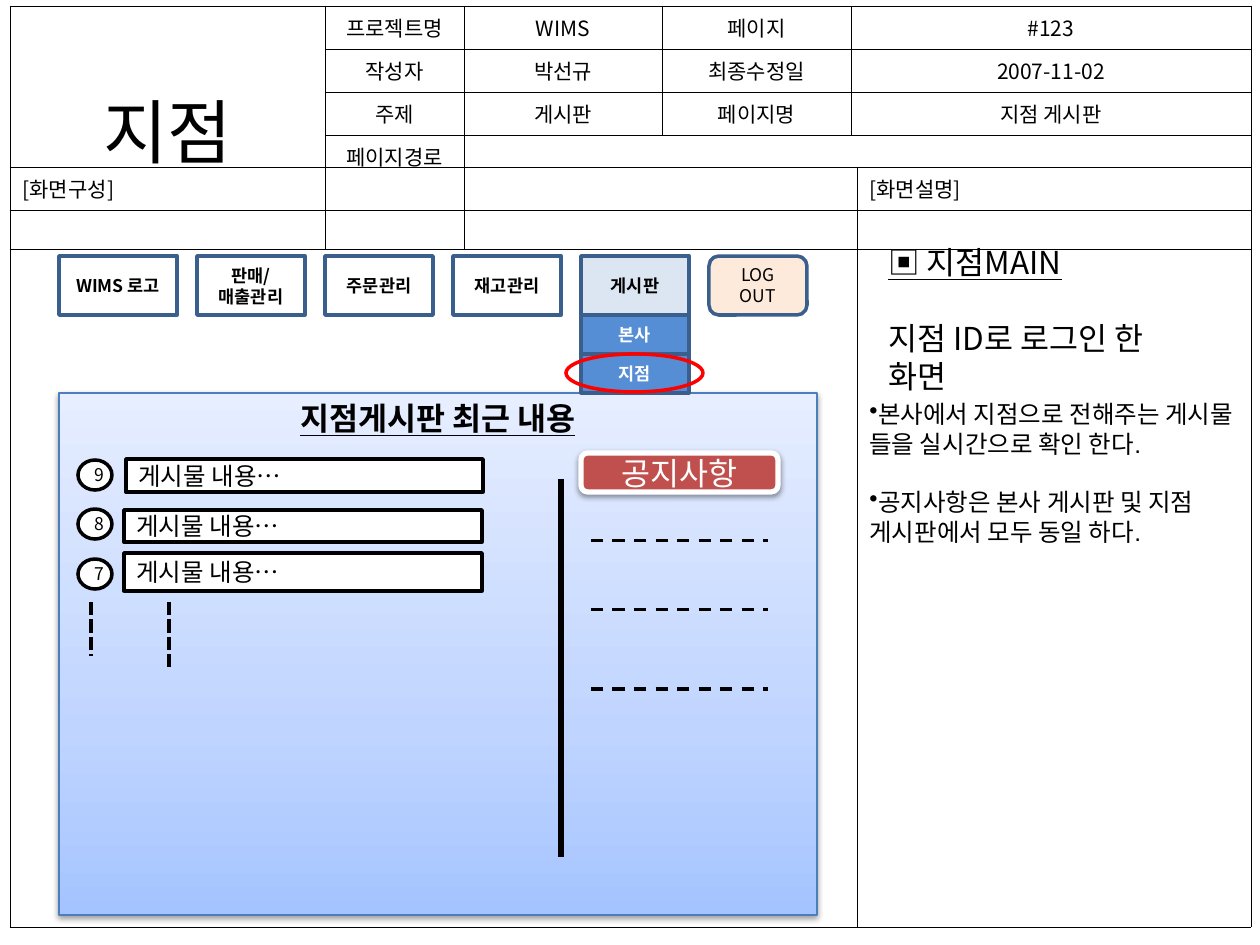
from lxml import etree
from pptx import Presentation
from pptx import util as u
from pptx.dml.color import RGBColor
from pptx.enum import dml, shapes, text
from pptx.oxml import parse_xml
from pptx.oxml.ns import nsdecls, qn

PX = 914400 / 126
CJK = "Noto Sans CJK KR"
C = {"black": "000000", "white": "FFFFFF", "navy": "3A5F8C", "blue": "558ED5",
     "pale": "DCE6F2", "peach": "FDEADA", "brick": "C0504D", "red": "FF0000",
     "edge": "4B7EBC"}
PANEL_STOPS = [(0, "A4C4FF"), (35, "BFD4FF"), (100, "E6EEFF")]
KIND = shapes.MSO_SHAPE
CENTER, LEFT = text.PP_ALIGN.CENTER, text.PP_ALIGN.LEFT
MIDDLE, TOP = text.MSO_ANCHOR.MIDDLE, text.MSO_ANCHOR.TOP


def emu(*px):
    return [u.Emu(round(v * PX)) for v in px]


def rgb(name):
    return RGBColor.from_string(C[name])


def add_run(p, words, size, color="black", font=CJK, bold=False, underline=False):
    r = p.add_run()
    r.text = words
    f = r.font
    f.size, f.name, f.bold, f.underline = u.Pt(size), font, bold, underline
    f.color.rgb = rgb(color)
    etree.SubElement(r._r.get_or_add_rPr(), qn("a:ea")).set("typeface", CJK)


def write(tf, lines, size, align=CENTER, **style):
    """One paragraph for each line of words."""
    for i, words in enumerate(lines):
        p = tf.paragraphs[0] if i == 0 else tf.add_paragraph()
        p.alignment = align
        add_run(p, words, size, **style)


def add_box(s, kind, box, fill, line, width, lines=(), size=10, anchor=MIDDLE, **style):
    sp = s.shapes.add_shape(kind, *emu(*box))
    sp.shadow.inherit = False
    if fill:
        sp.fill.solid()
        sp.fill.fore_color.rgb = rgb(fill)
    else:
        sp.fill.background()
    sp.line.color.rgb = rgb(line)
    sp.line.width = u.Pt(width)
    tf = sp.text_frame
    tf.word_wrap, tf.vertical_anchor = True, anchor
    write(tf, lines, size, **style)
    return sp


def cast_shadow(sp):
    effects = sp._element.spPr.find(qn("a:effectLst"))
    effects.append(parse_xml(
        f'<a:outerShdw {nsdecls("a")} blurRad="{u.Pt(3.1)}" dist="{u.Pt(1.6)}" '
        'dir="5400000" rotWithShape="0"><a:srgbClr val="000000">'
        '<a:alpha val="38000"/></a:srgbClr></a:outerShdw>'))


def fill_gradient(sp, stops):
    """Bottom-to-top gradient in place of the solid fill."""
    spPr = sp._element.spPr
    gs = "".join(f'<a:gs pos="{pos * 1000}"><a:srgbClr val="{color}"/></a:gs>'
                 for pos, color in stops)
    spPr.replace(spPr.find(qn("a:solidFill")), parse_xml(
        f'<a:gradFill {nsdecls("a")} rotWithShape="1"><a:gsLst>{gs}</a:gsLst>'
        '<a:lin ang="16200000" scaled="0"/></a:gradFill>'))


def add_line(s, x1, y1, x2, y2, width, dash=None):
    cn = s.shapes.add_connector(shapes.MSO_CONNECTOR.STRAIGHT, *emu(x1, y1, x2, y2))
    cn.line.color.rgb = rgb("black")
    cn.line.width = u.Pt(width)
    if dash:
        cn.line.dash_style = dash
    etree.SubElement(cn._element.spPr, qn("a:effectLst"))


def add_grid(s, left, top, cols, rows):
    """Unfilled table with thin black borders."""
    frame = s.shapes.add_table(len(rows), len(cols),
                               *emu(left, top, sum(cols), sum(rows)))
    table = frame.table
    table.first_row = table.horz_banding = False
    for col, width in zip(table.columns, emu(*cols)):
        col.width = width
    for row, height in zip(table.rows, emu(*rows)):
        row.height = height
    for cell in table.iter_cells():
        tcPr = cell._tc.get_or_add_tcPr()
        for side in "LRTB":
            tcPr.append(parse_xml(
                f'<a:ln{side} {nsdecls("a")} w="{u.Pt(0.5)}"><a:solidFill>'
                f'<a:srgbClr val="{C["black"]}"/></a:solidFill></a:ln{side}>'))
        cell.fill.background()
    return table


def add_notes_text(s, box, lines, size, spacing, bullet=False, **style):
    """Text box with fixed line spacing and one free line between paragraphs."""
    tf = s.shapes.add_textbox(*emu(*box)).text_frame
    tf.word_wrap = True
    tf.auto_size = text.MSO_AUTO_SIZE.SHAPE_TO_FIT_TEXT
    write(tf, lines, size, LEFT, **style)
    for i, p in enumerate(tf.paragraphs):
        p.line_spacing = u.Pt(spacing)
        if i:
            p.space_before = u.Pt(spacing)
        if bullet:
            pPr = p._p.get_or_add_pPr()
            pPr.set("marL", "0")
            pPr.set("indent", "0")
            etree.SubElement(pPr, qn("a:buChar")).set("char", "•")
    return tf


def add_tables(s):
    body = add_grid(s, 10, 167, [847, 394], [42, 717])
    for i, words in enumerate(["[화면구성]", "[화면설명]"]):
        write(body.cell(0, i).text_frame, [words], 12, LEFT)

    head = add_grid(s, 10, 6, [315, 139, 198, 189, 400], [37, 37, 37, 33])
    head.cell(0, 0).merge(head.cell(3, 0))
    head.cell(3, 2).merge(head.cell(3, 4))
    title = head.cell(0, 0)
    title.vertical_anchor = MIDDLE
    write(title.text_frame, ["지점"], 40)
    facts = [["프로젝트명", "WIMS", "페이지", "#123"],
             ["작성자", "박선규", "최종수정일", "2007-11-02"],
             ["주제", "게시판", "페이지명", "지점 게시판"],
             ["페이지경로"]]
    for i, row in enumerate(facts):
        for j, words in enumerate(row, 1):
            write(head.cell(i, j).text_frame, [words], 12)


def add_board(s):
    panel = add_box(s, KIND.RECTANGLE, (59, 393, 758, 522), "white", "edge", 0.75,
                    ["지점게시판 최근 내용"], 18, TOP, font="Arial",
                    bold=True, underline=True)
    fill_gradient(panel, PANEL_STOPS)
    cast_shadow(panel)
    posts = [("9", 460, (126, 459, 357, 33)),
             ("8", 509, (124, 510, 358, 32)),
             ("7", 559, (124, 553, 358, 38))]
    for number, y, box in posts:
        add_box(s, KIND.FLOWCHART_CONNECTOR, (78, y, 34, 30), "white", "black", 2, [number])
        add_box(s, KIND.RECTANGLE, box, "white", "black", 2,
                ["게시물 내용…"], 14, align=LEFT)
    for x, bottom in [(91, 656), (169, 668)]:
        add_line(s, x, 602, x, bottom, 2.5, dml.MSO_LINE.SQUARE_DOT)
    notice = add_box(s, KIND.ROUNDED_RECTANGLE, (581, 453, 197, 39), "brick", "white", 3,
                     ["공지사항"], 18, color="white")
    cast_shadow(notice)
    add_line(s, 561, 479, 561, 857, 3.75)
    for y in (541, 610, 689):
        add_line(s, 591, y, 768, y, 1.75, dml.MSO_LINE.DASH)


def add_menu(s):
    for y, words in [(315, "본사"), (354, "지점")]:
        add_box(s, KIND.RECTANGLE, (581, y, 108, 39), "blue", "navy", 2,
                [words], color="white", bold=True)
    tabs = [(59, 118, "white", ["WIMS 로고"]),
            (197, 108, "white", ["판매/", "매출관리"]),
            (325, 108, "white", ["주문관리"]),
            (453, 108, "white", ["재고관리"]),
            (581, 108, "pale", ["게시판"])]
    for x, width, fill, lines in tabs:
        add_box(s, KIND.RECTANGLE, (x, 256, width, 59), fill, "navy", 2, lines, bold=True)
    add_box(s, KIND.ROUNDED_RECTANGLE, (709, 256, 98, 59), "peach", "navy", 2, ["LOG OUT"])
    add_box(s, KIND.OVAL, (566, 354, 137, 38), None, "red", 2)


def add_description(s):
    tf = add_notes_text(s, (876, 237, 335, 280), ["▣ 지점MAIN", "지점 ID로 로그인 한 화면"],
                        18, 21.6)
    tf.paragraphs[0].runs[0].font.underline = True
    add_notes_text(s, (857, 393, 403, 220),
                   ["본사에서 지점으로 전해주는 게시물 들을 실시간으로 확인 한다.",
                    "공지사항은 본사 게시판 및 지점 게시판에서 모두 동일 하다."],
                   14, 16.8, bullet=True, font="Arial")


def main():
    prs = Presentation()
    prs.slide_width, prs.slide_height = emu(1260, 945)
    s = prs.slides.add_slide(prs.slide_layouts[6])
    add_tables(s)
    add_board(s)
    add_description(s)
    add_menu(s)
    prs.save("out.pptx")


if __name__ == "__main__":
    main()
